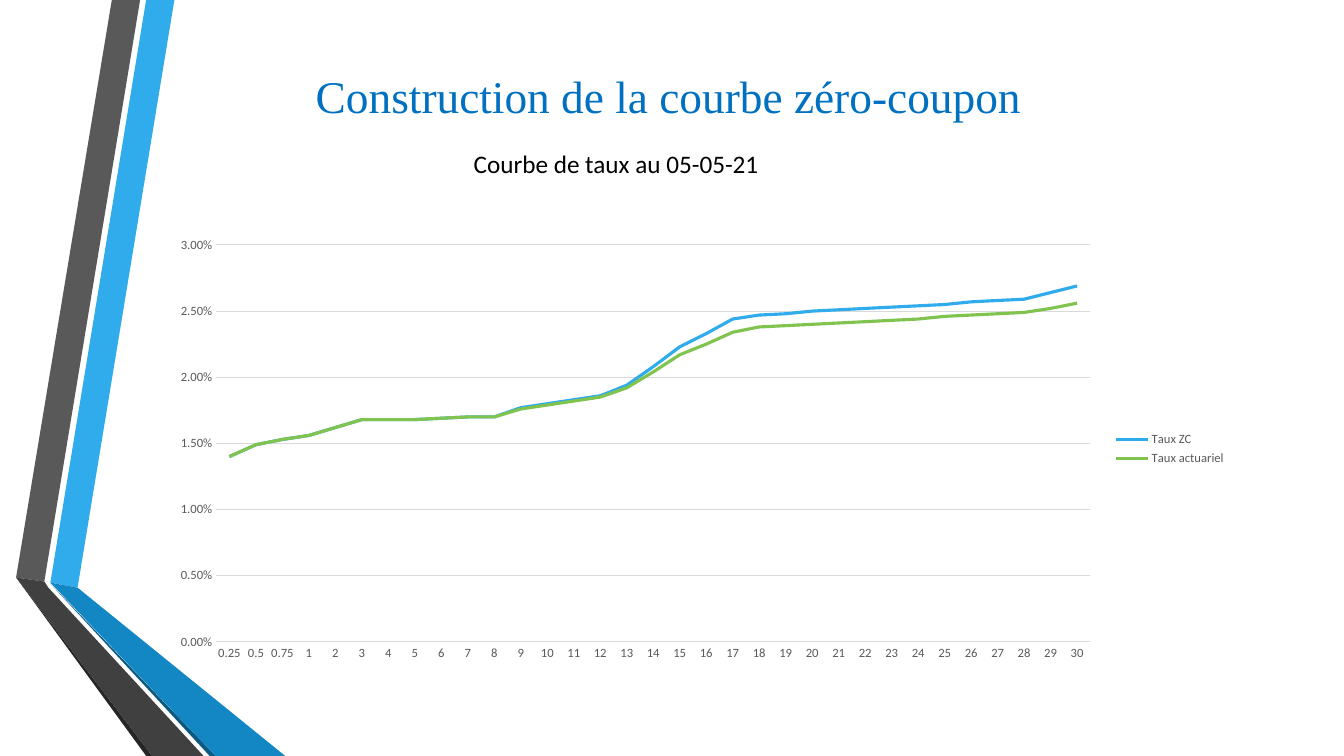
"""Build the slide showing the zero-coupon and actuarial yield curves."""
from dataclasses import dataclass

from pptx import Presentation
from pptx.chart.data import CategoryChartData
from pptx.dml.color import RGBColor
from pptx.enum.chart import XL_CHART_TYPE, XL_LEGEND_POSITION, XL_TICK_MARK
from pptx.enum.text import MSO_ANCHOR, MSO_AUTO_SIZE, PP_ALIGN
from pptx.util import Pt

PX = 9144
LINE_CHART = XL_CHART_TYPE.LINE
LEGEND_RIGHT = XL_LEGEND_POSITION.RIGHT
NO_TICK = XL_TICK_MARK.NONE
MIDDLE = MSO_ANCHOR.MIDDLE
CENTER = PP_ALIGN.CENTER
NO_FIT = MSO_AUTO_SIZE.NONE
TITLE_ONLY = 5

COLORS = {
    "title": "0070C0", "black": "000000", "label": "595959", "grid": "D9D9D9",
    "blue": "30ACEC", "blue_mid": "1287C3", "blue_dark": "0C5A82", "green": "80C34F",
    "gray": "595959", "gray_mid": "404040", "gray_dark": "262626",
}


@dataclass(frozen=True)
class Ribbon:
    """A filled polygon of the left-hand decoration."""
    color: str
    points: tuple[tuple[int, int], ...]


@dataclass(frozen=True)
class Curve:
    """A yield curve, with rates in hundredths of a percent."""
    name: str
    color: str
    rates: tuple[int, ...]


@dataclass(frozen=True)
class Label:
    """A line of text with its box in px and its format."""
    text: str
    box: tuple[int, int, int, int]
    font: str
    size: float
    color: str


RIBBONS = (
    Ribbon("blue", ((50, 578), (77, 583), (173, 0), (145, 0))),
    Ribbon("gray", ((139, 0), (111, 0), (16, 573), (44, 577))),
    Ribbon("gray_dark", ((16, 573), (145, 750), (151, 750))),
    Ribbon("blue_dark", ((50, 579), (208, 750), (214, 750))),
    Ribbon("blue_mid", ((50, 578), (214, 750), (283, 750), (77, 583))),
    Ribbon("gray_mid", ((202, 750), (48, 583), (44, 577), (16, 573), (151, 750))),
)
MATURITIES = ("0.25", "0.5", "0.75", *map(str, range(1, 31)))
SHARED_RATES = (140, 149, 153, 156, 162, 168, 168, 168, 169, 170, 170)
CURVES = (
    Curve("Taux ZC", "blue", SHARED_RATES + (
        177, 180, 183, 186, 194, 208, 223, 233, 244, 247, 248, 250, 251, 252, 253, 254,
        255, 257, 258, 259, 264, 269)),
    Curve("Taux actuariel", "green", SHARED_RATES + (
        176, 179, 182, 185, 192, 204, 217, 225, 234, 238, 239, 240, 241, 242, 243, 244,
        246, 247, 248, 249, 252, 256)),
)
TITLE = Label("Construction de la courbe zéro-coupon", (87, 45, 1152, 73),
              "Times New Roman", 32.4, "title")
SUBTITLE = Label("Courbe de taux au 05-05-21", (460, 142, 364, 40), "Calibri", 18, "black")
CHART_BOX = (158, 227, 1068, 437)


def rgb(name: str) -> RGBColor:
    """Return the named colour."""
    return RGBColor.from_string(COLORS[name])


def apply(target, values: dict) -> None:
    """Set each attribute of the target from a dict."""
    for attribute, value in values.items():
        setattr(target, attribute, value)


def format_font(font, name: str, size: float, color: str) -> None:
    """Set the typeface, size and colour of a font."""
    apply(font, {"name": name, "size": Pt(size), "bold": False})
    font.color.rgb = rgb(color)


def format_line(line, color: str, width: float) -> None:
    """Set the colour and width of a line."""
    line.color.rgb = rgb(color)
    line.width = Pt(width)


def draw_ribbon(slide, ribbon: Ribbon) -> None:
    """Draw one ribbon as a freeform."""
    start, *others = ribbon.points
    builder = slide.shapes.build_freeform(*start, scale=PX)
    builder.add_line_segments(others, close=True)
    shape = builder.convert_to_shape()
    shape.shadow.inherit = False
    shape.fill.solid()
    shape.fill.fore_color.rgb = rgb(ribbon.color)
    shape.line.fill.background()


def write_label(shape, label: Label, frame_format: dict, paragraph_format: dict) -> None:
    """Place a shape and write the label in it."""
    apply(shape, dict(zip(("left", "top", "width", "height"), (v * PX for v in label.box))))
    apply(shape.text_frame, frame_format)
    paragraph = shape.text_frame.paragraphs[0]
    apply(paragraph, paragraph_format)
    run = paragraph.add_run()
    run.text = label.text
    format_font(run.font, label.font, label.size, label.color)


def draw_chart(slide) -> None:
    """Draw the line chart of both curves."""
    data = CategoryChartData(number_format="0.00%")
    data.categories = MATURITIES
    for curve in CURVES:
        data.add_series(curve.name, [rate / 10000 for rate in curve.rates])
    box = (v * PX for v in CHART_BOX)
    chart = slide.shapes.add_chart(LINE_CHART, *box, data).chart
    apply(chart, {"has_title": False, "has_legend": True})
    format_font(chart.font, "Calibri", 10, "black")
    apply(chart.legend, {"position": LEGEND_RIGHT, "include_in_layout": False})
    format_font(chart.legend.font, "Calibri", 9, "label")

    for axis in (chart.category_axis, chart.value_axis):
        apply(axis, {"major_tick_mark": NO_TICK, "minor_tick_mark": NO_TICK})
        format_font(axis.tick_labels.font, "Calibri", 9, "label")
    format_line(chart.category_axis.format.line, "grid", 0.75)
    value_axis = chart.value_axis
    apply(value_axis, {"minimum_scale": 0, "maximum_scale": 0.03, "major_unit": 0.005,
                       "has_major_gridlines": True})
    apply(value_axis.tick_labels, {"number_format": "0.00%", "number_format_is_linked": False})
    value_axis.format.line.fill.background()
    format_line(value_axis.major_gridlines.format.line, "grid", 0.75)

    chart.plots[0].vary_by_categories = False
    for series, curve in zip(chart.plots[0].series, CURVES):
        series.smooth = False
        format_line(series.format.line, curve.color, 2.25)


def main() -> None:
    """Build and save the presentation."""
    presentation = Presentation()
    apply(presentation, {"slide_width": 1333 * PX, "slide_height": 750 * PX})
    slide = presentation.slides.add_slide(presentation.slide_layouts[TITLE_ONLY])
    for ribbon in RIBBONS:
        draw_ribbon(slide, ribbon)
    write_label(slide.shapes.title, TITLE,
                {"word_wrap": True, "auto_size": NO_FIT, "vertical_anchor": MIDDLE},
                {"alignment": CENTER, "line_spacing": 1.5})
    draw_chart(slide)
    subtitle = slide.shapes.add_textbox(0, 0, PX, PX)
    write_label(subtitle, SUBTITLE, {"word_wrap": True}, {})
    presentation.save("out.pptx")


if __name__ == "__main__":
    main()
